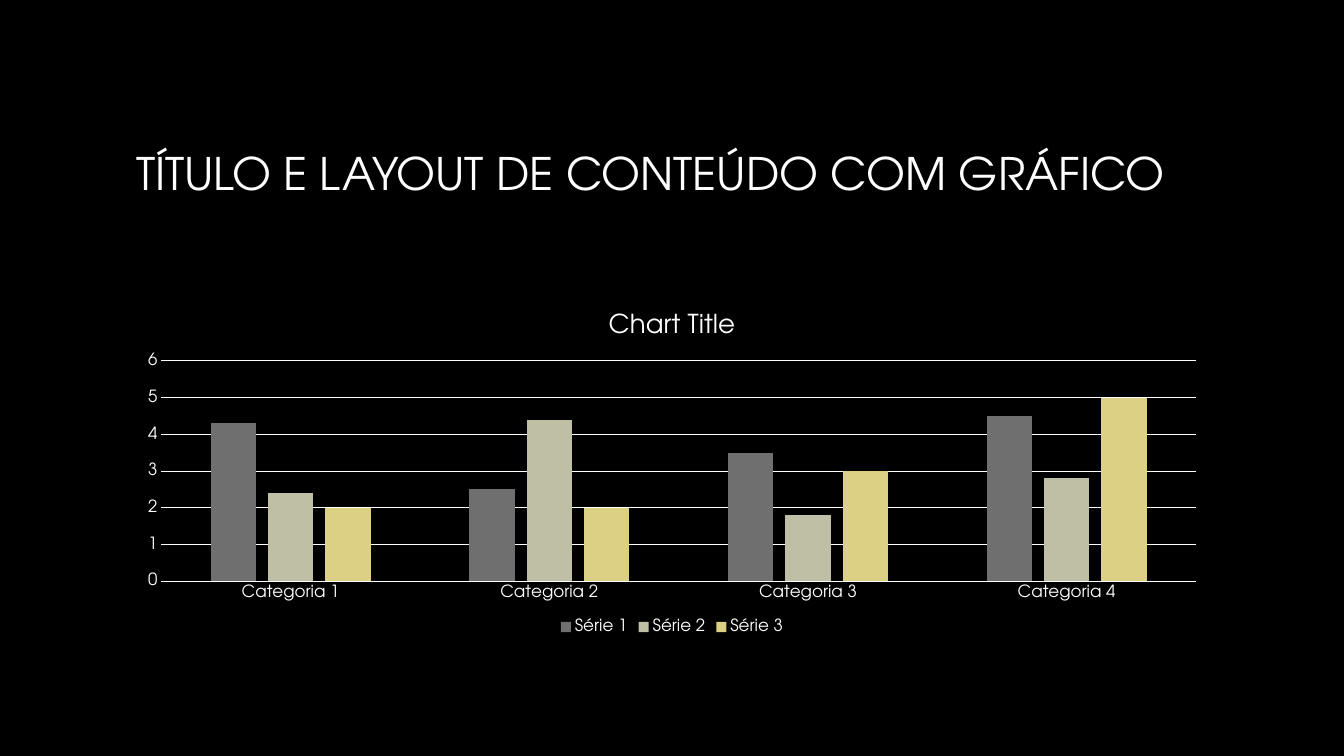
from pptx import Presentation
from pptx.chart.data import CategoryChartData
from pptx.dml.color import RGBColor
from pptx.enum.chart import XL_CHART_TYPE as Kind, XL_LEGEND_POSITION as Place, XL_TICK_MARK as Tick
from pptx.enum.text import MSO_ANCHOR as Anchor
from pptx.util import Cm, Pt

FACE = "TeX Gyre Adventor"
WHITE = "FFFFFF"


def paint(fill, color):
    fill.solid()
    fill.fore_color.rgb = RGBColor.from_string(color)


def style(font, size):
    font.name = FACE
    font.size = Pt(size)
    font.bold = False
    paint(font.fill, WHITE)


deck = Presentation()
deck.slide_width, deck.slide_height = Cm(33.87), Cm(19.05)
slide = deck.slides.add_slide(deck.slide_layouts[6])
paint(slide.background.fill, "000000")

left, width = Cm(3.18), Cm(27.51)

# Title
title = slide.shapes.add_textbox(left, Cm(1.7), width, Cm(5.28))
frame = title.text_frame
frame.word_wrap = True
frame.vertical_anchor = Anchor.MIDDLE
frame.text = "TÍTULO E LAYOUT DE CONTEÚDO COM GRÁFICO"
style(frame.paragraphs[0].runs[0].font, 32)

# Chart
series = [
    ("Série 1", "6F6F6F", (4.3, 2.5, 3.5, 4.5)),
    ("Série 2", "BFBFA5", (2.4, 4.4, 1.8, 2.8)),
    ("Série 3", "DCD084", (2, 2, 3, 5)),
]
data = CategoryChartData()
data.categories = [f"Categoria {n}" for n in range(1, 5)]
for name, color, values in series:
    data.add_series(name, values)

chart = slide.shapes.add_chart(
    Kind.COLUMN_CLUSTERED, left, Cm(7.41), width, Cm(8.69), data).chart
style(chart.font, 10)
heading = chart.chart_title.text_frame
heading.text = "Chart Title"
style(heading.paragraphs[0].runs[0].font, 18.6)
chart.chart_title.include_in_layout = False

plot = chart.plots[0]
plot.gap_width, plot.overlap = 219, -27
plot.vary_by_categories = False
for bars, (name, color, values) in zip(plot.series, series):
    paint(bars.format.fill, color)
    bars.invert_if_negative = False

# Axes
for axis in (chart.category_axis, chart.value_axis):
    axis.major_tick_mark = axis.minor_tick_mark = Tick.NONE
    style(axis.tick_labels.font, 12)
scale = chart.value_axis
scale.minimum_scale, scale.maximum_scale, scale.major_unit = 0, 6, 1
scale.has_major_gridlines = True
scale.format.line.fill.background()
for line in (chart.category_axis.format.line, scale.major_gridlines.format.line):
    paint(line.fill, WHITE)
    line.width = Pt(0.75)

# Legend
chart.has_legend = True
chart.legend.position = Place.BOTTOM
chart.legend.include_in_layout = False
style(chart.legend.font, 12)

deck.save("out.pptx")
